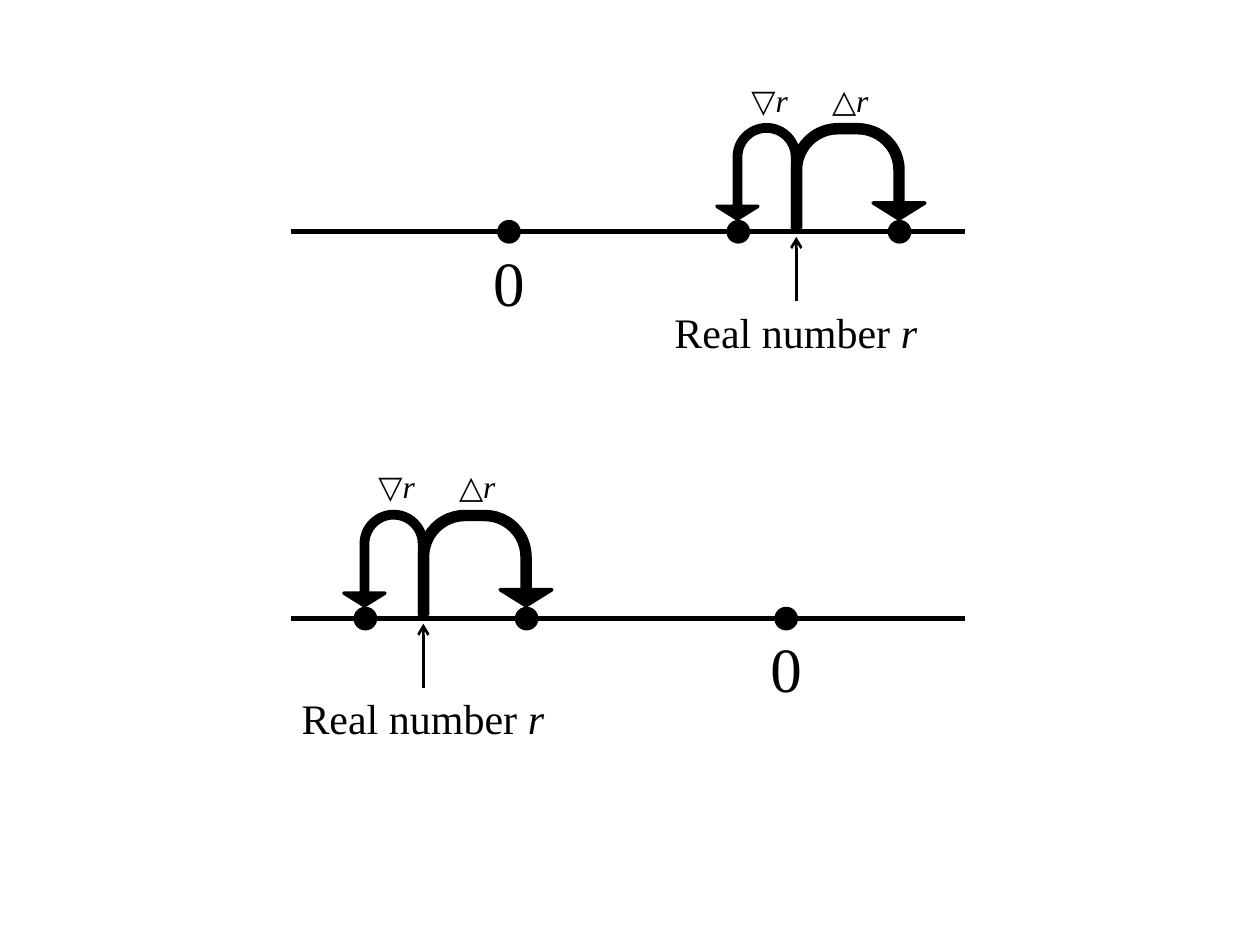
import pptx
import pptx.dml.color
import pptx.enum.shapes
import pptx.enum.text
import pptx.oxml
import pptx.oxml.ns
import pptx.util
from pptx.util import Inches

BLACK = "000000"
FONT = "Times New Roman"
SHAPES = pptx.enum.shapes.MSO_SHAPE
U_TURN_ADJUSTMENTS = (0.077, 0.25, 0.156, 0.438, 0.913)


def color(value):
    return pptx.dml.color.RGBColor.from_string(value)


def add_text(slide, text, center, top, width, height, size, italic_tail=""):
    """Add an unwrapped label centred on a point, ending in an italic variable."""
    box = slide.shapes.add_textbox(center - width // 2, top, width, height)
    frame = box.text_frame
    frame.word_wrap = False
    frame.auto_size = pptx.enum.text.MSO_AUTO_SIZE.SHAPE_TO_FIT_TEXT
    paragraph = frame.paragraphs[0]
    for content, italic in ((text, False), (italic_tail, True)):
        if content:
            run = paragraph.add_run()
            run.text = content
            run.font.name = FONT
            run.font.size = pptx.util.Pt(size)
            run.font.italic = italic
            run.font.color.rgb = color(BLACK)


def add_solid_shape(slide, kind, left, top, width, height):
    shape = slide.shapes.add_shape(kind, left, top, width, height)
    shape.shadow.inherit = False
    shape.fill.solid()
    shape.fill.fore_color.rgb = color(BLACK)
    shape.line.color.rgb = color(BLACK)
    shape.line.width = pptx.util.Pt(2)
    return shape


def add_line(slide, start, end, weight, arrow=False):
    line = slide.shapes.add_connector(
        pptx.enum.shapes.MSO_CONNECTOR.STRAIGHT, *start, *end)
    line.line.color.rgb = color(BLACK)
    line.line.width = pptx.util.Pt(weight)
    properties = line._element.spPr
    if arrow:
        outline = properties.find(pptx.oxml.ns.qn("a:ln"))
        head = pptx.oxml.parse_xml(
            f'<a:tailEnd {pptx.oxml.ns.nsdecls("a")} type="arrow"/>')
        outline.append(head)
    properties.append(pptx.oxml.parse_xml(
        f'<a:effectLst {pptx.oxml.ns.nsdecls("a")}/>'))


def add_dot(slide, center, axis):
    diameter = Inches(0.16)
    add_solid_shape(slide, SHAPES.OVAL, center - diameter // 2,
                    axis - diameter // 2, diameter, diameter)


def add_jump(slide, left, axis, width, flipped=False):
    """Add a U-turn arrow that lands just above the axis."""
    jump = add_solid_shape(slide, SHAPES.U_TURN_ARROW, left,
                           axis - Inches(0.85), width, Inches(0.82))
    for index, value in enumerate(U_TURN_ADJUSTMENTS):
        jump.adjustments[index] = value
    if flipped:
        jump._element.spPr.find(pptx.oxml.ns.qn("a:xfrm")).set("flipH", "1")


def draw_number_line(slide, left, top, width, zero_offset, real_offset):
    """Draw an axis with zero, a real number and its two neighbours."""
    axis = top + Inches(1.25)
    zero = left + zero_offset
    real = left + real_offset

    add_line(slide, (left, axis), (left + width, axis), 3)
    for center in (zero, real - Inches(0.46), real + Inches(0.82)):
        add_dot(slide, center, axis)
    add_text(slide, "0", zero, axis + Inches(0.04),
             Inches(0.45), Inches(0.71), 36)

    add_line(slide, (real, axis + Inches(0.55)),
             (real, axis + Inches(0.04)), 1.5, arrow=True)
    add_text(slide, "Real number ", real, axis + Inches(0.54),
             Inches(2.13), Inches(0.5), 24, italic_tail="r")

    add_jump(slide, real - Inches(0.03), axis, Inches(1.05))
    add_jump(slide, real - Inches(0.63), axis, Inches(0.65), flipped=True)
    for symbol, offset in (("△", 0.46), ("▽", -0.18)):
        add_text(slide, symbol, real + Inches(offset), top,
                 Inches(0.55), Inches(0.4), 18, italic_tail="r")


def main():
    presentation = pptx.Presentation()
    presentation.slide_width = Inches(10)
    presentation.slide_height = Inches(7.5)
    slide = presentation.slides.add_slide(presentation.slide_layouts[6])
    left, width = Inches(2.31), Inches(5.35)
    draw_number_line(slide, left, Inches(0.59), width,
                     zero_offset=Inches(1.73), real_offset=Inches(4.01))
    draw_number_line(slide, left, Inches(3.66), width,
                     zero_offset=Inches(3.93), real_offset=Inches(1.05))
    presentation.save("out.pptx")


if __name__ == "__main__":
    main()
